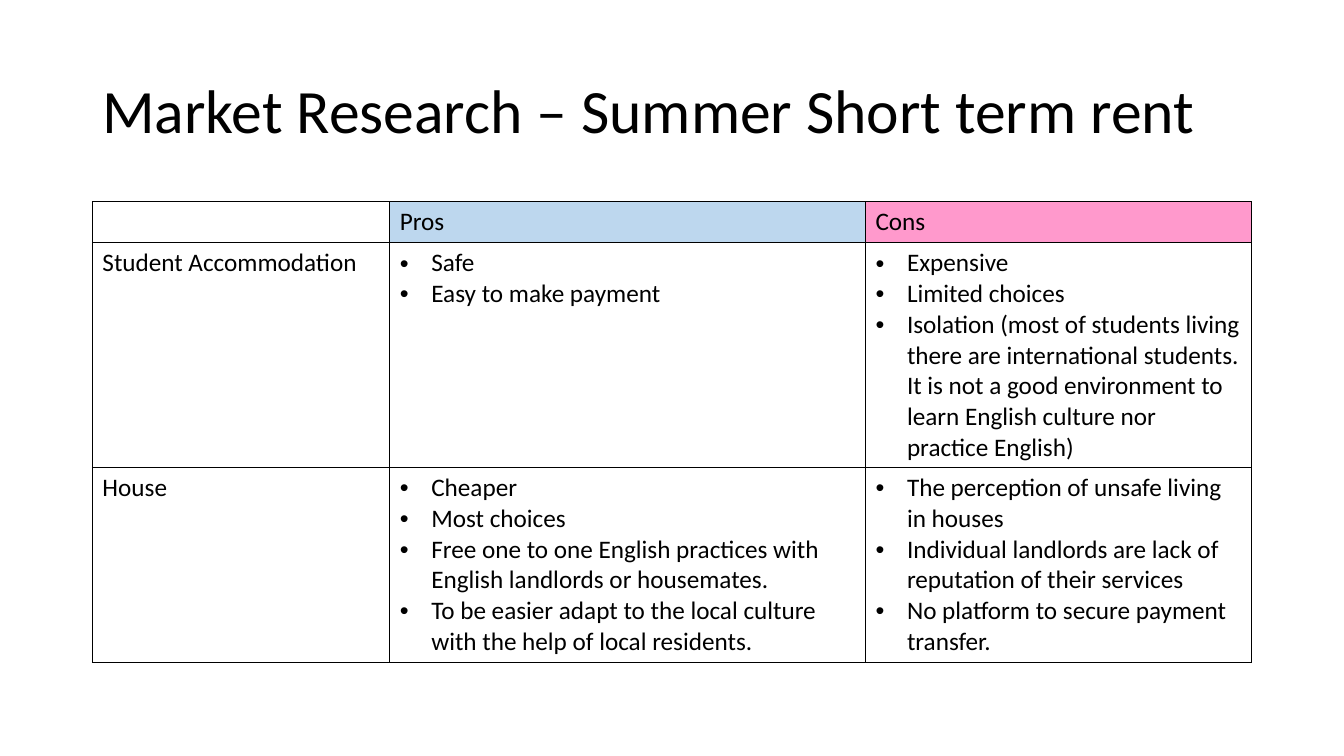
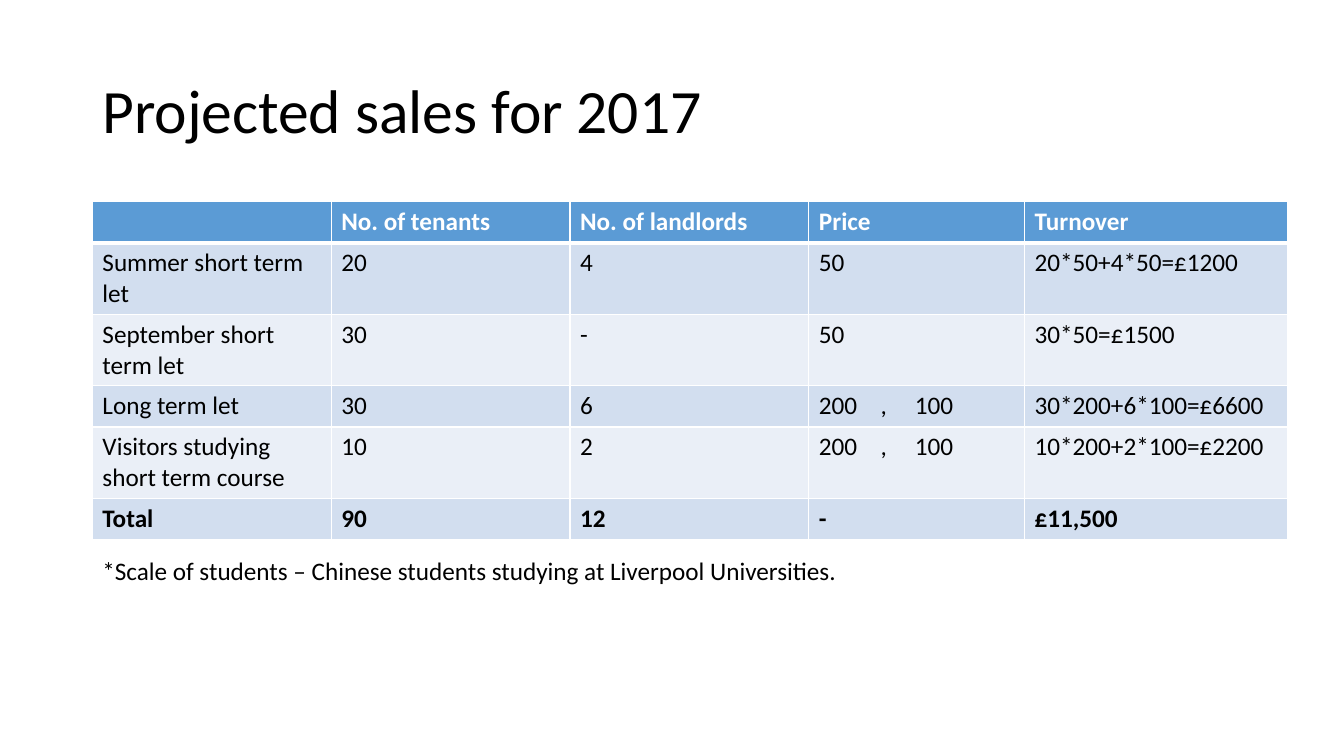
import pptx
import pptx.dml.color
import pptx.enum.text
import pptx.oxml
import pptx.oxml.ns
import pptx.util

Pt = pptx.util.Pt
FONT = "Calibri"
BLACK, WHITE = "000000", "FFFFFF"
PROS_BLUE, CONS_PINK = "BDD7EE", "FF99CC"
HEADER_BLUE, BANDS = "5B9BD5", ("EAEFF7", "D2DEEF")
LEFT, TITLE_TOP, TABLE_TOP = 66, 28.8, 144
NS = pptx.oxml.ns.nsdecls("a")


def write(tf, text, size=18, color=BLACK, bold=False, bullet=False, spacing=None, tabs=()):
    """Fill a text frame, one paragraph for each line of text."""
    tf.word_wrap = True
    for i, line in enumerate(text.split("\n")):
        p = tf.paragraphs[0] if i == 0 else tf.add_paragraph()
        p.line_spacing = spacing
        pPr = p._p.get_or_add_pPr()
        if bullet:
            pPr.set("marL", str(Pt(22.5)))
            pPr.set("indent", str(-Pt(22.5)))
            pPr.append(pptx.oxml.parse_xml(f'<a:buFont {NS} typeface="Arial"/>'))
            pPr.append(pptx.oxml.parse_xml(f'<a:buChar {NS} char="•"/>'))
        if tabs:
            stops = "".join(f'<a:tab pos="{Pt(t)}" algn="l"/>' for t in tabs)
            pPr.append(pptx.oxml.parse_xml(f"<a:tabLst {NS}>{stops}</a:tabLst>"))
        if line:
            r = p.add_run()
            r.text = line
            r.font.name, r.font.size, r.font.bold = FONT, Pt(size), bold
            r.font.color.rgb = pptx.dml.color.RGBColor.from_string(color)


def style_cell(cell, fill, line, top=1, bottom=1):
    """Set the fill and the four borders of a cell."""
    if fill:
        cell.fill.solid()
        cell.fill.fore_color.rgb = pptx.dml.color.RGBColor.from_string(fill)
    else:
        cell.fill.background()
    tcPr = cell._tc.get_or_add_tcPr()
    for i, (side, width) in enumerate(zip("LRTB", (1, 1, top, bottom))):
        tcPr.insert(i, pptx.oxml.parse_xml(
            f'<a:ln{side} {NS} w="{Pt(width)}"><a:solidFill><a:srgbClr val="{line}"/>'
            f"</a:solidFill></a:ln{side}>"))


prs = pptx.Presentation()
prs.slide_width, prs.slide_height = Pt(960), Pt(540)

pros_cons = [
    ["", "Pros", "Cons"],
    ["Student Accommodation",
     "Safe\nEasy to make payment",
     "Expensive\nLimited choices\n"
     "Isolation (most of students living there are international students. "
     "It is not a good environment to learn English culture nor practice English)"],
    ["House",
     "Cheaper\nMost choices\n"
     "Free one to one English practices with English landlords or housemates.\n"
     "To be easier adapt to the local culture with the help of local residents.",
     "The perception of unsafe living in houses\n"
     "Individual landlords are lack of reputation of their services\n"
     "No platform to secure payment transfer."],
]
sales = [
    ["", "No. of tenants", "No. of landlords", "Price", "Turnover"],
    ["Summer short term let", "20", "4", "50", "20*50+4*50=£1200"],
    ["September short term let", "30", "-", "50", "30*50=£1500"],
    ["Long term let", "30", "6", "200\t,\t100", "30*200+6*100=£6600"],
    ["Visitors studying short term course", "10", "2", "200\t,\t100", "10*200+2*100=£2200"],
    ["Total", "90", "12", "-", "£11,500"],
]
pages = [
    ("Market Research – Summer Short term rent", pros_cons,
     [212.4, 339.8, 275.8], [29.5, 160.5, 139.5]),
    ("Projected sales for 2017", sales,
     [170.6, 170.6, 170.6, 154.1, 187.9], [29.5, 51, 51, 29.5, 51, 29.5]),
]

# Title and table frame of each slide
tables = []
for title, data, widths, heights in pages:
    s = prs.slides.add_slide(prs.slide_layouts[6])
    tf = s.shapes.add_textbox(Pt(LEFT), Pt(TITLE_TOP), Pt(828), Pt(104.4)).text_frame
    tf.vertical_anchor = pptx.enum.text.MSO_ANCHOR.MIDDLE
    write(tf, title, size=44, spacing=0.9)
    table = s.shapes.add_table(len(heights), len(widths), Pt(LEFT), Pt(TABLE_TOP),
                               Pt(sum(widths)), Pt(sum(heights))).table
    table.first_row = table.horz_banding = False
    for column, width in zip(table.columns, widths):
        column.width = Pt(width)
    for row, height in zip(table.rows, heights):
        row.height = Pt(height)
    tables.append(table)

# Pros and cons
for i, row in enumerate(pros_cons):
    for j, text in enumerate(row):
        cell = tables[0].cell(i, j)
        write(cell.text_frame, text, bullet=i > 0 and j > 0)
        style_cell(cell, (None, PROS_BLUE, CONS_PINK)[j] if i == 0 else None, BLACK)

# Projected sales
for i, row in enumerate(sales):
    header, total = i == 0, i == len(sales) - 1
    for j, text in enumerate(row):
        cell = tables[1].cell(i, j)
        write(cell.text_frame, text, color=WHITE if header else BLACK,
              bold=header or total, tabs=(44, 68.5) if "\t" in text else ())
        style_cell(cell, HEADER_BLUE if header else BANDS[i % 2], WHITE,
                   top=3 if i == 1 else 1, bottom=3 if header else 1)

note = s.shapes.add_textbox(Pt(LEFT), Pt(393), Pt(551.5), Pt(29))
write(note.text_frame, "*Scale of students – Chinese students studying at Liverpool Universities.")

prs.save("out.pptx")
